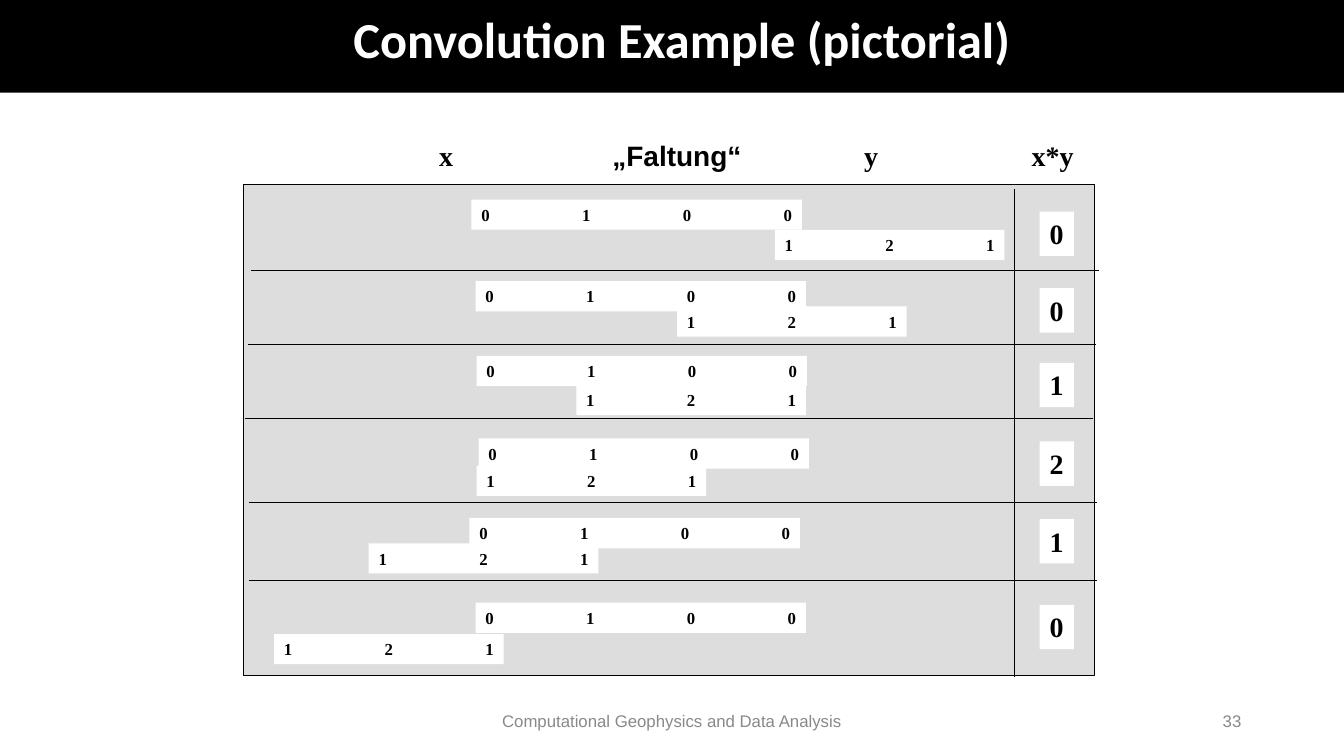
from dataclasses import dataclass

from lxml.etree import SubElement
from pptx import Presentation
from pptx.dml.color import RGBColor
from pptx.enum.shapes import MSO_CONNECTOR, MSO_SHAPE
from pptx.enum.text import MSO_ANCHOR, PP_ALIGN
from pptx.oxml.ns import qn
from pptx.util import Inches, Pt


@dataclass(frozen=True)
class Theme:
    black: str = "000000"
    white: str = "FFFFFF"
    panel: str = "DDDDDD"
    muted: str = "898989"
    heading: str = "Calibri"
    sans: str = "Arial"
    serif: str = "Times New Roman"
    title_size: int = 36
    label_size: int = 20
    sample_size: int = 12
    line_width: float = 0.75


class GridSlide:
    """Draws on one slide; a grid column is one sample step, a row is as tall."""

    STEP = Inches(1)

    def __init__(self, deck, theme):
        self.theme = theme
        self.page = deck.slides.add_slide(deck.slide_layouts[6])

    def cells(self, *lengths):
        return [round(length * self.STEP) for length in lengths]

    def block(self, place, fill, outlined=False):
        box = self.page.shapes.add_shape(MSO_SHAPE.RECTANGLE, *self.cells(*place))
        box.shadow.inherit = False
        box.fill.solid()
        box.fill.fore_color.rgb = RGBColor.from_string(fill)
        if outlined:
            self.stroke(box.line)
        else:
            box.line.fill.background()
        return box

    def stroke(self, line):
        line.color.rgb = RGBColor.from_string(self.theme.black)
        line.width = Pt(self.theme.line_width)

    def rule(self, *ends):
        line = self.page.shapes.add_connector(MSO_CONNECTOR.STRAIGHT, *self.cells(*ends))
        self.stroke(line.line)
        SubElement(line._element.spPr, qn("a:effectLst"))

    def add_text(self, box, text, size, font, color, bold=True,
                 align=PP_ALIGN.LEFT, anchor=MSO_ANCHOR.TOP, wrap=False):
        frame = box.text_frame
        frame.word_wrap = wrap
        frame.vertical_anchor = anchor
        para = frame.paragraphs[0]
        para.alignment = align
        if "\t" in text:
            self.set_tabs(para, text.count("\t"))
        span = para.add_run()
        span.text = text
        span.font.size = Pt(size)
        span.font.name = font
        span.font.bold = bold
        span.font.color.rgb = RGBColor.from_string(color)
        return para

    def set_tabs(self, para, count):
        tabs = SubElement(para._p.get_or_add_pPr(), qn("a:tabLst"))
        for step in range(1, count + 1):
            SubElement(tabs, qn("a:tab"), pos=str(step * self.STEP), algn="l")

    def title(self, text, place):
        bar = self.block(place, self.theme.black)
        para = self.add_text(bar, text, self.theme.title_size, self.theme.heading,
                             self.theme.white, align=PP_ALIGN.CENTER,
                             anchor=MSO_ANCHOR.MIDDLE, wrap=True)
        para.line_spacing = 0.9

    def footer(self, text, place, align):
        box = self.page.shapes.add_textbox(*self.cells(*place))
        self.add_text(box, text, self.theme.sample_size, self.theme.sans, self.theme.muted,
                      bold=False, align=align, anchor=MSO_ANCHOR.MIDDLE, wrap=True)

    def label(self, text, left, top, width=0.34, font=None):
        box = self.block((left, top, width, 0.44), self.theme.white)
        self.add_text(box, text, self.theme.label_size, font or self.theme.serif,
                      self.theme.black)

    def signal(self, samples, left, top):
        """Strip of samples spaced one grid column apart."""
        width = len(samples) - 1 + 0.28
        box = self.block((left, top, width, 0.3), self.theme.white)
        self.add_text(box, "\t".join(samples), self.theme.sample_size, self.theme.serif,
                      self.theme.black)


SIGNAL_X = "0100"
SIGNAL_Y = "121"
# x strip (left, top), y strip (left, top), sum and its top
SHIFTS = [
    ((4.68, 1.98), (7.69, 2.28), "0", 2.1),
    ((4.72, 2.79), (6.72, 3.04), "0", 2.86),
    ((4.73, 3.53), (5.72, 3.82), "1", 3.6),
    ((4.75, 4.35), (4.73, 4.62), "2", 4.38),
    ((4.66, 5.14), (3.66, 5.39), "1", 5.15),
    ((4.72, 5.98), (2.72, 6.29), "0", 6),
]
ROW_RULES = [(2.49, 2.68), (2.46, 3.42), (2.43, 4.15), (2.47, 4.99), (2.47, 5.76)]
RULE_LENGTH = 8.42
HEADER_TOP = 1.33
SUM_LEFT = 10.32


def main():
    deck = Presentation()
    deck.slide_width, deck.slide_height = Inches(13.34), Inches(7.5)
    theme = Theme()
    slide = GridSlide(deck, theme)

    slide.title("Convolution Example (pictorial)", (0, -0.08, 13.54, 1))
    slide.footer("Computational Geophysics and Data Analysis",
                 (4.42, 6.95, 4.5, 0.4), PP_ALIGN.CENTER)
    slide.footer("33", (9.42, 6.95, 3, 0.4), PP_ALIGN.RIGHT)

    slide.block((2.42, 1.83, 8.44, 4.87), theme.panel, outlined=True)
    slide.label("x", 4.26, HEADER_TOP)
    slide.label("„Faltung“", 5.98, HEADER_TOP, 1.56, theme.sans)
    slide.label("y", 8.48, HEADER_TOP)
    slide.label("x*y", 10.14, HEADER_TOP, 0.61)

    for x_place, y_place, total, total_top in SHIFTS:
        slide.signal(SIGNAL_X, *x_place)
        slide.signal(SIGNAL_Y, *y_place)
        slide.label(total, SUM_LEFT, total_top)
    for left, top in ROW_RULES:
        slide.rule(left, top, left + RULE_LENGTH, top)
    slide.rule(10.07, 1.88, 10.07, 6.72)

    deck.save("out.pptx")


if __name__ == "__main__":
    main()
